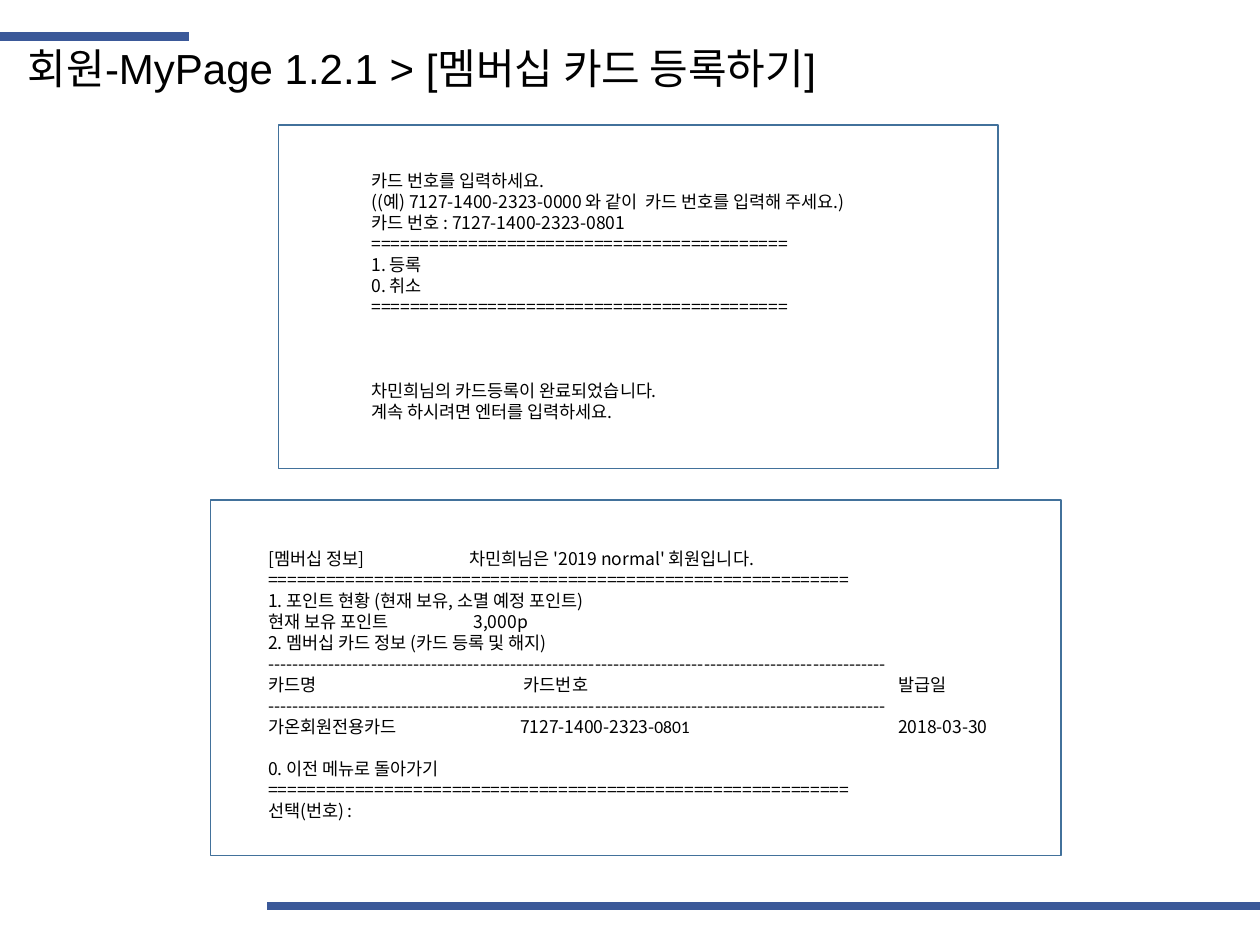
"""Build the membership card registration slide."""
from lxml.etree import SubElement
from pptx import Presentation
from pptx.dml.color import RGBColor
from pptx.enum.shapes import MSO_CONNECTOR as Line, MSO_SHAPE as Shape
from pptx.enum.text import MSO_ANCHOR as Anchor, MSO_AUTO_SIZE as AutoSize, PP_ALIGN as Align
from pptx.oxml.ns import qn
from pptx.util import Inches, Pt


def rgb(value):
    return RGBColor.from_string(value)


def assign(target, values):
    for name, value in values.items():
        setattr(target, name, value)


class Page:
    """Style of the page and the elements placed on its slide."""

    korean = "Noto Sans CJK KR"
    ink, bar, border = "000000", "3B5999", "42719B"
    frame = {"word_wrap": True, "auto_size": AutoSize.NONE, "vertical_anchor": Anchor.TOP,
             "margin_left": Inches(0.1), "margin_right": Inches(0.1),
             "margin_top": Inches(0.05), "margin_bottom": Inches(0.05)}

    def __init__(self, slide):
        self.slide = slide

    def add_words(self, paragraph, words, size, font):
        run = paragraph.add_run()
        run.text = words
        run.font.color.rgb = rgb(self.ink)
        assign(run.font, {"size": Pt(size), "bold": False, "name": font})
        SubElement(run.font._element, qn("a:ea"), typeface=self.korean)

    def title(self, words, left, top, width, height):
        heading = self.slide.shapes.title
        assign(heading, {"left": Inches(left), "top": Inches(top),
                         "width": Inches(width), "height": Inches(height)})
        assign(heading.text_frame, {**self.frame, "vertical_anchor": Anchor.MIDDLE})
        paragraph = heading.text_frame.paragraphs[0]
        paragraph.alignment = Align.LEFT
        self.add_words(paragraph, words, 24, "Arial")

    def rule(self, start, end, y):
        stripe = self.slide.shapes.add_connector(
            Line.STRAIGHT, Inches(start), Inches(y), Inches(end), Inches(y))
        stripe.line.color.rgb = rgb(self.bar)
        stripe.line.width = Pt(5)
        SubElement(stripe._element.spPr, qn("a:effectLst"))

    def panel(self, left, top, width, height):
        outline = self.slide.shapes.add_shape(
            Shape.RECTANGLE, Inches(left), Inches(top), Inches(width), Inches(height))
        outline.shadow.inherit = False
        outline.fill.background()
        outline.line.color.rgb = rgb(self.border)
        outline.line.width = Pt(1)

    def console(self, lines, left, top, width, height):
        screen = self.slide.shapes.add_textbox(
            Inches(left), Inches(top), Inches(width), Inches(height)).text_frame
        assign(screen, self.frame)
        for index, (runs, gap, stops) in enumerate(lines):
            paragraph = screen.add_paragraph() if index else screen.paragraphs[0]
            assign(paragraph, {"line_spacing": Pt(12), "space_before": Pt(gap)})
            if stops:
                tabs = SubElement(paragraph._p.get_or_add_pPr(), qn("a:tabLst"))
                for stop in stops:
                    SubElement(tabs, qn("a:tab"), pos=str(Inches(stop)), algn="l")
            for words, font in runs:
                self.add_words(paragraph, words, 10, font or self.korean)


def line(words, gap=0, stops=()):
    return [(words, None)], gap, stops


def main():
    deck = Presentation()
    assign(deck, {"slide_width": Inches(10), "slide_height": Inches(7.5)})
    page = Page(deck.slides.add_slide(deck.slide_layouts[5]))
    card_number = "7127-1400-2323-"
    short_rule, long_rule, dashes = "=" * 43, "=" * 60, "-" * 102

    registration = [
        line("카드 번호를 입력하세요."),
        line(f"((예) {card_number}0000 와 같이  카드 번호를 입력해 주세요.)"),
        line(f"카드 번호 : {card_number}0801"),
        line(short_rule),
        line("1. 등록"),
        line("0. 취소"),
        line(short_rule),
        line("차민희님의 카드등록이 완료되었습니다.", gap=36),
        line("계속 하시려면 엔터를 입력하세요."),
    ]
    card_row = [("가온회원전용카드\t" + card_number, None), ("0801", "Calibri"),
                ("\t2018-03-30", None)]
    membership = [
        line("[멤버십 정보]\t차민희님은 '2019 normal' 회원입니다.", stops=[1.6]),
        line(long_rule),
        line("1. 포인트 현황 (현재 보유, 소멸 예정 포인트)"),
        line("현재 보유 포인트\t3,000p", stops=[1.63]),
        line("2. 멤버십 카드 정보 (카드 등록 및 해지)"),
        line(dashes),
        line("카드명\t카드번호\t발급일", stops=[2.03, 5]),
        line(dashes),
        (card_row, 0, [2, 5]),
        line("0. 이전 메뉴로 돌아가기", gap=12),
        line(long_rule),
        line("선택(번호) :"),
    ]

    page.rule(2.12, 10, 7.19)
    page.title("회원-MyPage 1.2.1 > [멤버십 카드 등록하기]", 0.12, 0.29, 9, 0.5)
    page.console(registration, 2.85, 1.3, 4.48, 2.12)
    page.panel(2.21, 0.99, 5.71, 2.73)
    page.console(membership, 2.03, 4.3, 6.13, 2.29)
    page.panel(1.67, 3.97, 6.75, 2.82)
    page.rule(0, 1.5, 0.29)
    deck.save("out.pptx")


if __name__ == "__main__":
    main()
